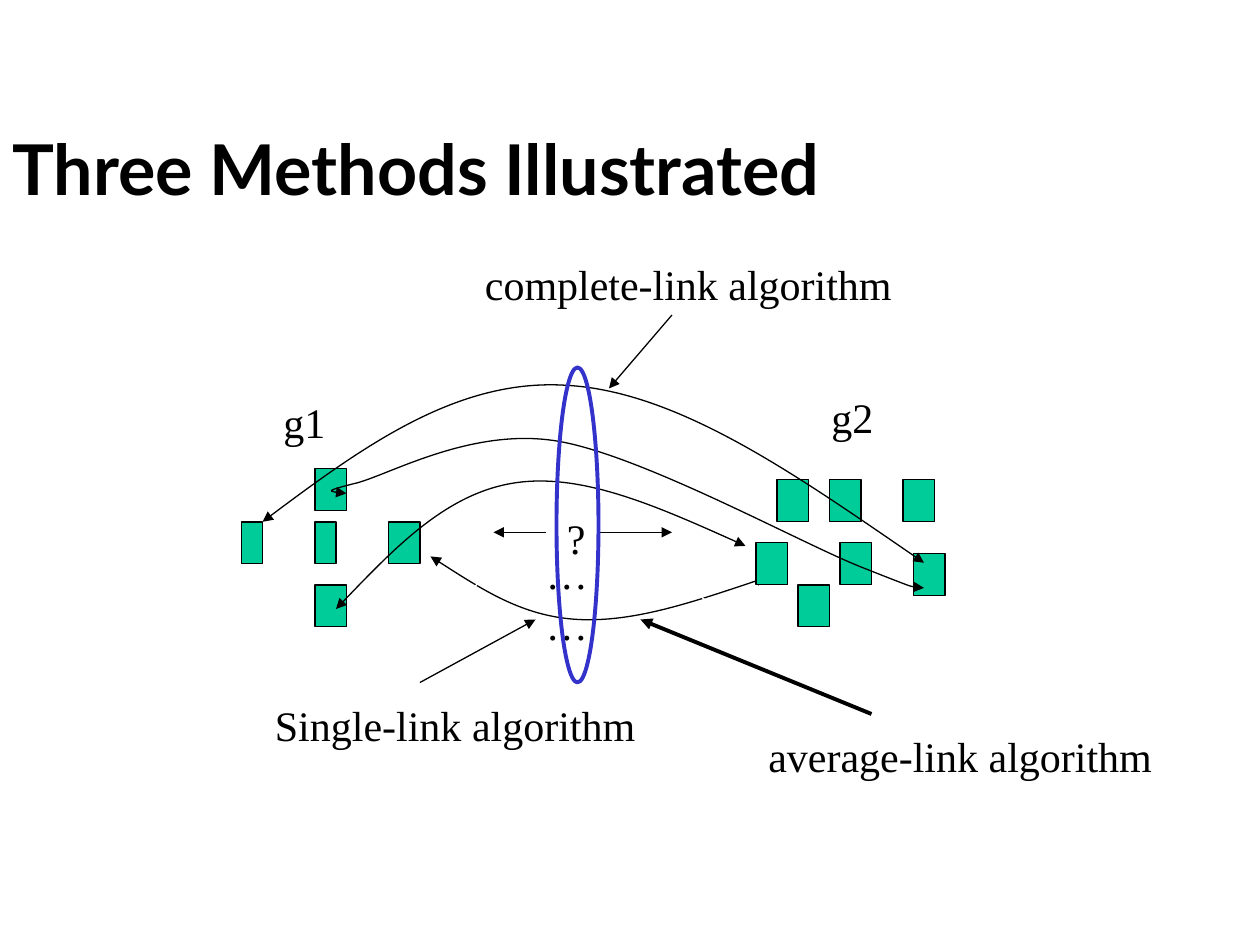
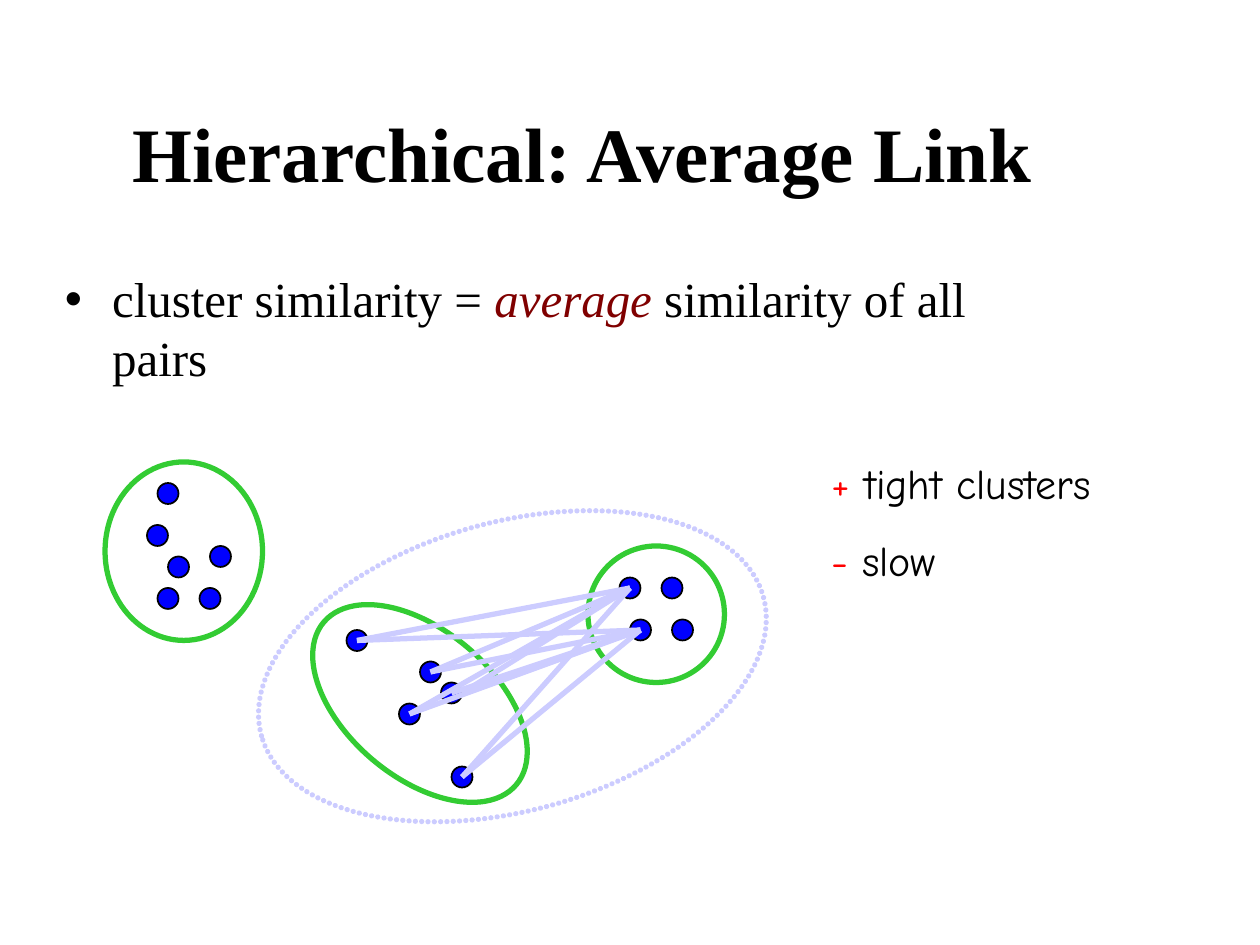
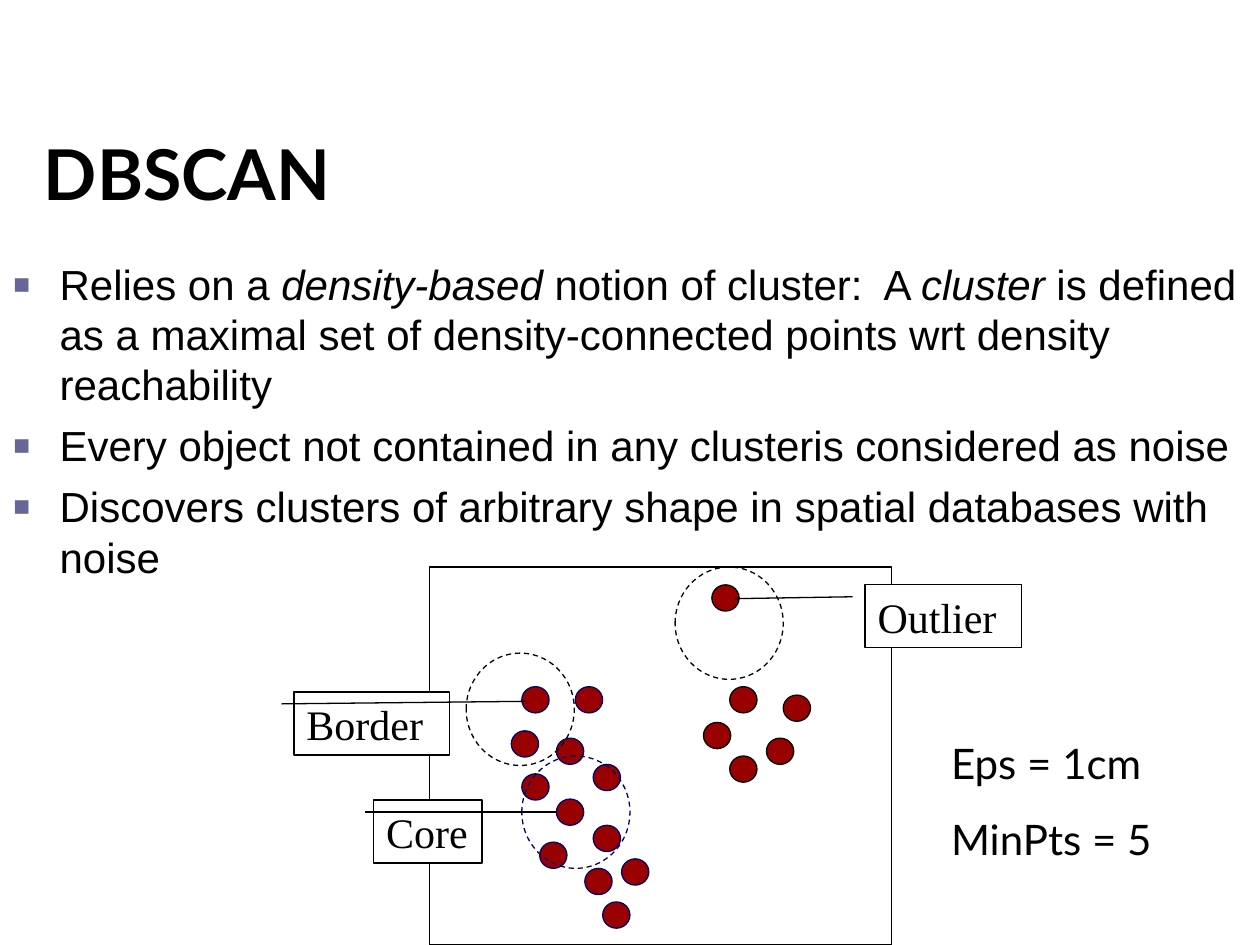
from dataclasses import dataclass

import pptx
import pptx.dml.color
import pptx.enum.dml
import pptx.enum.shapes
import pptx.enum.text
import pptx.oxml
import pptx.oxml.ns
import pptx.util
from lxml import etree

SHAPE = pptx.enum.shapes.MSO_SHAPE
ANCHOR = pptx.enum.text.MSO_ANCHOR
ALIGN = pptx.enum.text.PP_ALIGN
DASH = pptx.enum.dml.MSO_LINE
qn = pptx.oxml.ns.qn
PX = 7620


@dataclass(frozen=True)
class Theme:
    black: str = "000000"
    white: str = "FFFFFF"
    item: str = "00CC99"
    lens: str = "3333CC"
    point: str = "0000FF"
    cluster: str = "33CC33"
    link: str = "CCCCFF"
    accent: str = "800000"
    sign: str = "FF0000"
    sample: str = "990000"
    navy: str = "000066"
    bullet: str = "666699"
    serif: str = "Times New Roman"
    sans: str = "Arial"
    display: str = "Lato"
    hand: str = "Comic Neue"
    title: int = 40
    big_title: int = 44
    lead: int = 28
    body: int = 24
    thin: float = 0.75
    edge: float = 1
    medium: float = 2.25
    thick: float = 3


T = Theme()


def emu(*lengths):
    return [pptx.util.Emu(v * PX) for v in lengths]


def rgb(color):
    return pptx.dml.color.RGBColor.from_string(color)


def set_line(line, color, width, dash=None):
    line.color.rgb = rgb(color)
    line.width = pptx.util.Pt(width)
    if dash:
        line.dash_style = dash


def add_arrowheads(line, *ends):
    ln = line._get_or_add_ln()
    for end in ends:
        etree.SubElement(ln, qn(f"a:{end}End"), type="triangle")


def add_shape(slide, kind, box, fill=None, color=T.black, width=T.thin, dash=None):
    sp = slide.shapes.add_shape(kind, *emu(*box))
    sp.shadow.inherit = False
    if fill:
        sp.fill.solid()
        sp.fill.fore_color.rgb = rgb(fill)
    else:
        sp.fill.background()
    set_line(sp.line, color, width, dash)
    return sp


def add_line(slide, x1, y1, x2, y2, color=T.black, width=T.thin, arrow=False):
    kind = pptx.enum.shapes.MSO_CONNECTOR.STRAIGHT
    cxn = slide.shapes.add_connector(kind, *emu(x1, y1, x2, y2))
    set_line(cxn.line, color, width)
    if arrow:
        add_arrowheads(cxn.line, "tail")
    etree.SubElement(cxn._element.spPr, qn("a:effectLst"))


def add_curve(slide, x, y, points):
    start, *rest = [(x + dx, y + dy) for dx, dy in points]
    builder = slide.shapes.build_freeform(*start, scale=float(PX))
    builder.add_line_segments(rest, close=False)
    sp = builder.convert_to_shape()
    sp.shadow.inherit = False
    sp.fill.background()
    set_line(sp.line, T.black, T.thin)
    add_arrowheads(sp.line, "head", "tail")
    path = sp._element.find(".//" + qn("a:path"))
    steps = path.findall(qn("a:lnTo"))
    for i in range(0, len(steps), 3):
        bezier = etree.SubElement(path, qn("a:cubicBezTo"))
        for step in steps[i:i + 3]:
            bezier.append(step[0])
            path.remove(step)


def add_run(p, text, font, size, color=T.black, bold=False, italic=False):
    r = p.add_run()
    r.text = text
    r.font.name = font
    r.font.size = pptx.util.Pt(size)
    r.font.color.rgb = rgb(color)
    r.font.bold = bold
    r.font.italic = italic


def add_bullet(p, char, color, percent=100):
    pPr = p._p.get_or_add_pPr()
    pPr.set("marL", str(45 * PX))
    pPr.set("indent", str(-45 * PX))
    clr = etree.SubElement(pPr, qn("a:buClr"))
    etree.SubElement(clr, qn("a:srgbClr"), val=color)
    etree.SubElement(pPr, qn("a:buSzPct"), val=str(percent * 1000))
    etree.SubElement(pPr, qn("a:buFont"), typeface=T.sans)
    etree.SubElement(pPr, qn("a:buChar"), char=char)


def fill_text(tf, paragraphs, font, size, gap=0, bullet=None, align=ALIGN.LEFT):
    for i, runs in enumerate(paragraphs):
        p = tf.add_paragraph() if i else tf.paragraphs[0]
        p.alignment = align
        if bullet:
            add_bullet(p, *bullet)
        if i and gap:
            p.space_before = pptx.util.Pt(gap)
        for text, style in runs:
            add_run(p, text, font, size, **style)


def add_text(slide, box, paragraphs, font, size, anchor=ANCHOR.TOP, wrap=True, **layout):
    tf = slide.shapes.add_textbox(*emu(*box)).text_frame
    tf.word_wrap = wrap
    tf.vertical_anchor = anchor
    fill_text(tf, paragraphs, font, size, **layout)


def add_title(slide, box, text, font=T.display, size=T.title, **layout):
    add_text(slide, box, [[(text, {"bold": True})]], font, size, **layout)


def add_label(slide, x, y, w, text):
    add_text(slide, (x, y, w, 60), [[(text, {})]], T.serif, T.body, wrap=False)


def draw_group(slide, box, name, label_at, items):
    x, y, w, h = box
    for dx, dy, item_w in items:
        add_shape(slide, SHAPE.RECTANGLE, (x + dx, y + dy, item_w, 40), T.item)
    add_shape(slide, SHAPE.OVAL, box, color=T.white)
    add_label(slide, x + label_at[0], y + label_at[1], 64, name)


def draw_link_methods(slide, x, y):
    single = [(250, 290), (294, 318), (337, 347), (390, 350),
              (444, 353), (507, 331), (570, 310)]
    complete = [(90, 257), (182, 188), (276, 120), (380, 127),
                (486, 133), (602, 215), (720, 296)]
    outer_average = [(170, 230), (158, 229), (147, 228), (180, 220),
                     (213, 211), (290, 167), (370, 180),
                     (450, 193), (602, 277), (660, 300),
                     (718, 323), (720, 322), (720, 320)]
    inner_average = [(160, 340), (212, 286), (265, 230), (330, 220),
                     (394, 210), (472, 245), (550, 280)]
    add_curve(slide, x, y, single)
    draw_group(slide, (x, y + 187, 310, 180), "g1", (98, -55),
               [(140, 130, 30), (140, 19, 30), (70, 70, 20),
                (210, 70, 30), (140, 70, 20)])
    draw_group(slide, (x + 480, y + 187, 310, 180), "g2", (140, -60),
               [(100, 30, 30), (220, 30, 30), (150, 30, 30), (80, 90, 30),
                (120, 130, 30), (230, 100, 30), (160, 90, 30)])
    for curve in (complete, outer_average, inner_average):
        add_curve(slide, x, y, curve)
    for x1, y1, x2, y2, width in (
        (240, 410, 350, 350, T.thin),
        (360, 267, 310, 267, T.thin),
        (410, 267, 480, 267, T.thin),
        (480, 60, 420, 130, T.thin),
        (670, 440, 450, 350, T.medium),
    ):
        add_line(slide, x + x1, y + y1, x + x2, y + y2, width=width, arrow=True)
    for dx, dy, w, text in (
        (290, 0, 412, "complete-link algorithm"),
        (368, 242, 42, "?"),
        (348, 276, 103, "……"),
        (90, 420, 367, "Single-link algorithm"),
        (560, 450, 389, "average-link algorithm"),
    ):
        add_label(slide, x + dx, y + dy, w, text)
    add_shape(slide, SHAPE.OVAL, (x + 370, y + 110, 40, 300),
              color=T.lens, width=T.medium)


def draw_cluster(slide, box, points, rotation=0):
    x, y, w, h = box
    for dx, dy in points:
        add_shape(slide, SHAPE.OVAL, (x + dx, y + dy, 20, 20), T.point, width=T.edge)
    sp = add_shape(slide, SHAPE.OVAL, box, color=T.cluster, width=T.thick)
    sp.rotation = rotation


def draw_merge(slide, box):
    x, y, w, h = box
    sp = add_shape(slide, SHAPE.OVAL, box, color=T.link, width=T.thick)
    sp.rotation = -15.5
    ln = sp.line._get_or_add_ln()
    ln.set("cap", "rnd")
    dash = etree.SubElement(ln, qn("a:custDash"))
    etree.SubElement(dash, qn("a:ds"), d="100000", sp="20000")
    ends = [(100, 113), (170, 143), (150, 183), (200, 243)]
    hubs = [((360, 63), (200, 163)), ((370, 103), (190, 163))]
    for (hx, hy), own_end in hubs:
        for ex, ey in ends + [own_end]:
            add_line(slide, x + hx, y + hy, x + ex, y + ey, T.link, T.thick)


def draw_density_plot(slide, box):
    x, y, w, h = box
    dense = [(88, 114), (78, 156), (121, 163), (139, 114), (156, 188), (88, 197),
             (121, 221), (105, 262), (148, 287), (165, 319), (156, 246), (183, 278)]
    sparse = [(269, 17), (286, 114), (261, 148), (321, 163), (337, 122), (286, 180)]
    for samples, color in ((dense, T.navy), (sparse, T.black)):
        for dx, dy in samples:
            add_shape(slide, SHAPE.OVAL, (x + dx, y + dy, 26, 25), T.sample, color)
    add_shape(slide, SHAPE.RECTANGLE, box)
    for dx, dy, color in ((35, 82, T.black), (88, 180, T.navy), (234, 0, T.black)):
        add_shape(slide, SHAPE.OVAL, (x + dx, y + dy, 103, 107),
                  color=color, dash=DASH.DASH)
    for text, dx, dy, callout_w, tip_y, tip_x in (
        ("Core", -53, 222, 103, 0.19, 1.69),
        ("Border", -129, 119, 148, 0.15, 1.49),
        ("Outlier", 415, 17, 149, 0.22, -0.83),
    ):
        sp = add_shape(slide, SHAPE.LINE_CALLOUT_1,
                       (x + dx, y + dy, callout_w, 60), T.white)
        for i, value in enumerate((0.19, -0.08, tip_y, tip_x)):
            sp.adjustments[i] = value
        tf = sp.text_frame
        tf.vertical_anchor = ANCHOR.TOP
        fill_text(tf, [[(text, {})]], T.serif, T.body)


def build_methods_slide(slide):
    add_title(slide, (0, 120, 1020, 80), "Three Methods Illustrated",
              anchor=ANCHOR.MIDDLE)
    draw_link_methods(slide, 160, 240)


def build_average_link_slide(slide):
    add_title(slide, (40, 90, 1030, 110), "Hierarchical: Average Link",
              T.serif, T.big_title, anchor=ANCHOR.MIDDLE, align=ALIGN.CENTER)
    add_text(slide, (50, 250, 980, 130),
             [[("cluster similarity = ", {}),
               ("average", {"color": T.accent, "italic": True}),
               (" similarity of all pairs", {})]],
             T.serif, T.lead, bullet=("•", T.black))
    draw_cluster(slide, (100, 440, 150, 170),
                 [(50, 20), (40, 60), (60, 90), (100, 80), (50, 120), (90, 120)])
    draw_cluster(slide, (560, 520, 130, 130),
                 [(80, 70), (40, 70), (70, 30), (30, 30)])
    draw_cluster(slide, (280, 600, 240, 140),
                 [(50, 0), (150, 130), (120, 30), (140, 50), (100, 70)], 40.2)
    draw_merge(slide, (240, 497, 496, 275))
    add_text(slide, (780, 430, 360, 133),
             [[("+ ", {"color": T.sign}), ("tight clusters", {})],
              [("- ", {"color": T.sign}), ("slow", {})]],
             T.hand, T.body, gap=15)


def build_dbscan_slide(slide):
    italic = {"italic": True}
    add_title(slide, (30, 80, 950, 130), "DBSCAN", anchor=ANCHOR.BOTTOM)
    add_text(slide, (0, 240, 1200, 290),
             [[("Relies on a ", {}), ("density-based", italic),
               (" notion of cluster:  A ", {}), ("cluster", italic),
               (" is defined as a maximal set of density-connected points "
                "wrt density reachability", {})],
              [("Every object not contained in any clusteris considered as noise", {})],
              [("Discovers clusters of arbitrary shape in spatial databases "
                "with noise", {})]],
             T.sans, T.body, gap=6, bullet=("▪", T.bullet, 130))
    draw_density_plot(slide, (409, 540, 440, 360))
    add_text(slide, (894, 696, 216, 181),
             [[("Eps = 1cm", {})], [("MinPts = 5", {})]],
             T.display, T.body, gap=15)


def main():
    prs = pptx.Presentation()
    prs.slide_width, prs.slide_height = emu(1200, 900)
    for build in (build_methods_slide, build_average_link_slide, build_dbscan_slide):
        build(prs.slides.add_slide(prs.slide_layouts[6]))
    prs.save("out.pptx")


if __name__ == "__main__":
    main()
